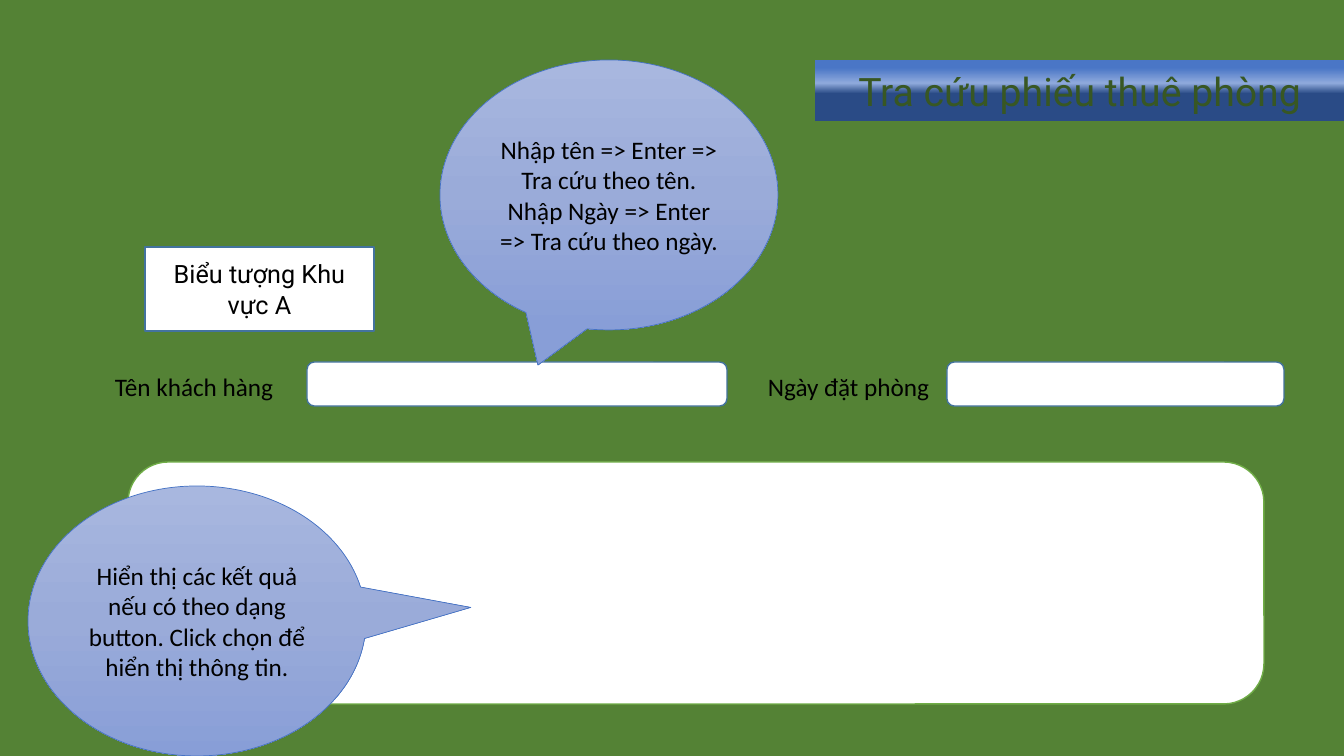
from copy import deepcopy
from lxml.etree import SubElement
from pptx import Presentation
from pptx.dml.color import RGBColor
from pptx.enum.shapes import MSO_SHAPE
from pptx.enum.text import MSO_ANCHOR, MSO_AUTO_SIZE, PP_ALIGN
from pptx.oxml.ns import qn
from pptx.util import Emu, Pt

GREEN = RGBColor(0x54, 0x82, 0x35)
DARK_GREEN = RGBColor(0x38, 0x57, 0x23)
LIGHT_GREEN = RGBColor(0x70, 0xAD, 0x47)
WHITE = RGBColor(0xFF, 0xFF, 0xFF)
BLACK = RGBColor(0x00, 0x00, 0x00)
FIELD_BLUE = RGBColor(0x43, 0x73, 0x9E)
CALLOUT_BLUE = RGBColor(0x44, 0x72, 0xC4)
TITLE_STOPS = [
    (0.45, RGBColor(0x2A, 0x4B, 0x86)),
    (0.62, RGBColor(0x8F, 0xAA, 0xDC)),
    (0.87, RGBColor(0x4A, 0x76, 0xC6)),
]
CALLOUT_STOPS = [
    (0, RGBColor(0xA8, 0xB7, 0xDF)),
    (0.5, RGBColor(0x9A, 0xAB, 0xD9)),
    (1, RGBColor(0x88, 0x9E, 0xD7)),
]
PX = 914400 / 100.8


def fill_gradient(box, stops, angle):
    box.fill.gradient()
    box.fill.gradient_angle = angle
    stop_list = box.element.spPr.find(".//" + qn("a:gsLst"))
    stop_list.append(deepcopy(stop_list[-1]))
    for stop, (position, color) in zip(box.fill.gradient_stops, stops):
        stop.position = position
        stop.color.rgb = color


def write(box, text, font="Calibri", size=18, color=BLACK, align=PP_ALIGN.CENTER):
    box.text_frame.vertical_anchor = MSO_ANCHOR.MIDDLE
    para = box.text_frame.paragraphs[0]
    para.text = text
    para.alignment = align
    para.font.name = font
    para.font.size = Pt(size)
    para.font.color.rgb = color


deck = Presentation()
deck.slide_width = Emu(round(1344 * PX))
deck.slide_height = Emu(round(756 * PX))
page = deck.slides.add_slide(deck.slide_layouts[5])
page.background.fill.solid()
page.background.fill.fore_color.rgb = GREEN

title = page.shapes.title
title.left, title.top, title.width, title.height = [
    Emu(round(n * PX)) for n in (815, 60, 529, 61)]
geometry = SubElement(title.element.spPr, qn("a:prstGeom"), prst="roundRect")
SubElement(geometry, qn("a:avLst"))
fill_gradient(title, TITLE_STOPS, 90)
title.text_frame.auto_size = MSO_AUTO_SIZE.NONE
write(title, "Tra cứu phiếu thuê phòng", "Roboto", 28, DARK_GREEN)

panels = [
    (MSO_SHAPE.ROUNDED_RECTANGLE, (307, 362, 420, 44), FIELD_BLUE, ""),
    (MSO_SHAPE.RECTANGLE, (145, 247, 229, 84), FIELD_BLUE, "Biểu tượng Khu vực A"),
    (MSO_SHAPE.ROUNDED_RECTANGLE, (947, 362, 337, 44), FIELD_BLUE, ""),
    (MSO_SHAPE.ROUNDED_RECTANGLE, (128, 462, 1136, 242), LIGHT_GREEN, ""),
]
for kind, place, line_color, text in panels:
    panel = page.shapes.add_shape(kind, *[Emu(round(n * PX)) for n in place])
    panel.shadow.inherit = False
    panel.fill.solid()
    panel.fill.fore_color.rgb = WHITE
    panel.line.color.rgb = line_color
    panel.line.width = Pt(1)
    if text:
        write(panel, text, "Roboto")

labels = [
    ((105, 366, 185, 40), "Tên khách hàng"),
    ((758, 366, 188, 40), "Ngày đặt phòng"),
]
for place, text in labels:
    label = page.shapes.add_textbox(*[Emu(round(n * PX)) for n in place])
    label.text_frame.word_wrap = False
    label.text_frame.auto_size = MSO_AUTO_SIZE.SHAPE_TO_FIT_TEXT
    write(label, text, align=PP_ALIGN.LEFT)
    label.text_frame.vertical_anchor = MSO_ANCHOR.TOP

callouts = [
    ((440, 60, 338, 270), (-0.21, 0.63),
     "Nhập tên => Enter => Tra cứu theo tên.\vNhập Ngày => Enter => Tra cứu theo ngày."),
    ((28, 486, 338, 270), (0.81, -0.05),
     "Hiển thị các kết quả nếu có theo dạng button. Click chọn để hiển thị thông tin."),
]
for place, tip, text in callouts:
    callout = page.shapes.add_shape(
        MSO_SHAPE.OVAL_CALLOUT, *[Emu(round(n * PX)) for n in place])
    callout.adjustments[0], callout.adjustments[1] = tip
    callout.shadow.inherit = False
    fill_gradient(callout, CALLOUT_STOPS, 270)
    callout.line.color.rgb = CALLOUT_BLUE
    callout.line.width = Pt(0.5)
    write(callout, text)

deck.save("out.pptx")
